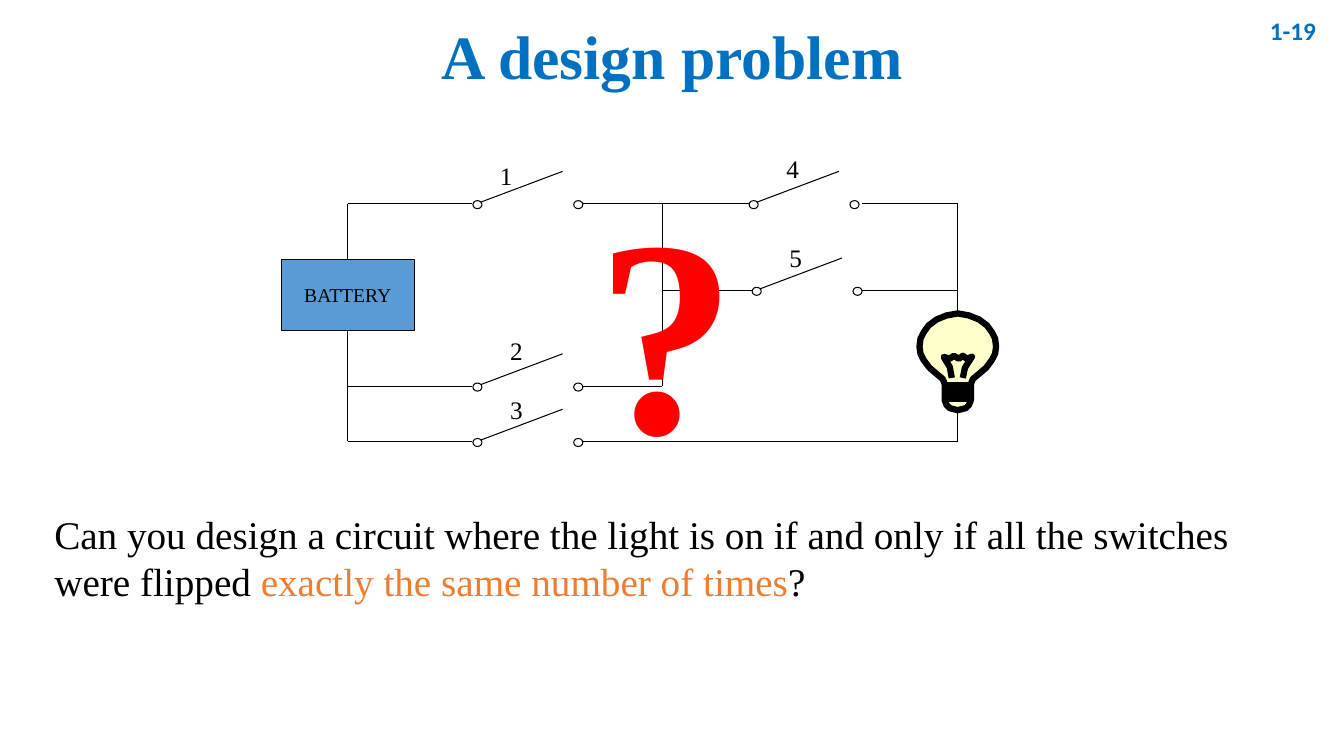
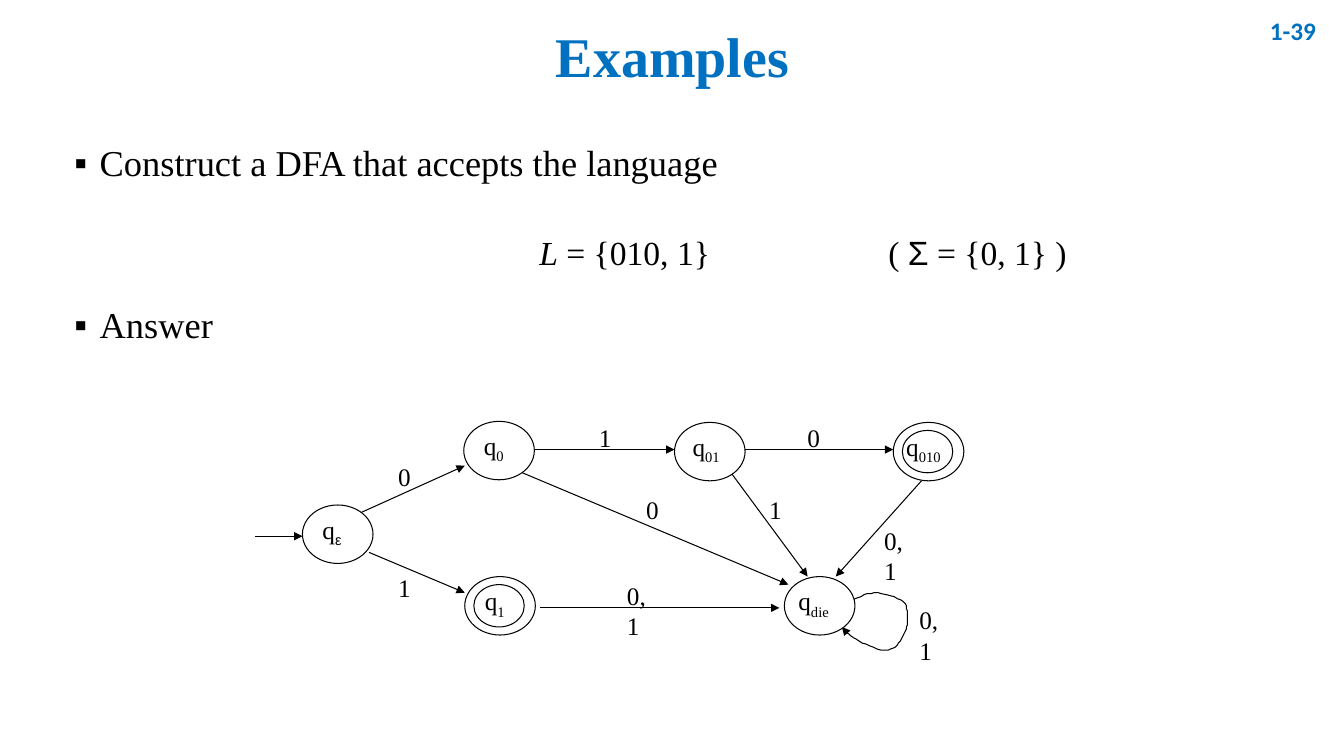
from dataclasses import dataclass
from typing import Any

from lxml.etree import SubElement
from pptx import Presentation
from pptx.dml.color import RGBColor
from pptx.enum.shapes import MSO_CONNECTOR as Connector, MSO_SHAPE as Shape
from pptx.enum.text import MSO_ANCHOR as Anchor, PP_ALIGN as Align
from pptx.oxml.ns import qn
from pptx.util import Pt

PX = 9144
SERIF = "Times New Roman"
BLUE = "0070C0"
BLACK = "000000"
WHITE = "FFFFFF"
ORANGE = "ED7D31"
RED = "FF0000"
BATTERY_BLUE = "5B9BD5"
BULB_YELLOW = "FFFFCC"
TERMINAL_SIZE = (9, 8)
STATE_SIZE = (70, 58)


def rgb(value):
    return RGBColor.from_string(value)


def apply(target, values):
    for name, value in values.items():
        setattr(target, name, value)


def add_run(paragraph, text, size=18, font=SERIF, color=BLACK, baseline=0, **style):
    run = paragraph.add_run()
    run.text = text
    apply(run.font, {"name": font, "size": Pt(size), **style})
    run.font.color.rgb = rgb(color)
    if baseline:
        run.font._element.set("baseline", str(baseline * 1000))


def set_line(shape, width=0.75, arrow=False):
    shape.line.color.rgb = rgb(BLACK)
    shape.line.width = Pt(width)
    if arrow:
        SubElement(shape.get_or_add_ln(), qn("a:tailEnd"), type="triangle")


def set_fill(shape, color):
    shape.shadow.inherit = False
    if color:
        shape.fill.solid()
        shape.fill.fore_color.rgb = rgb(color)
    else:
        shape.fill.background()


@dataclass
class Region:
    slide: Any
    left: int
    top: int
    width: int
    height: int

    def place(self, x, y):
        return (self.left + x) * PX, (self.top + y) * PX

    def text(self, x, y, width, height, runs, align=Align.LEFT, anchor=Anchor.TOP, wrap=False, spacing=1.0):
        box = self.slide.shapes.add_textbox(*self.place(x, y), width * PX, height * PX)
        apply(box.text_frame, {"word_wrap": wrap, "vertical_anchor": anchor})
        paragraph = box.text_frame.paragraphs[0]
        apply(paragraph, {"alignment": align, "line_spacing": spacing})
        for text, style in runs:
            add_run(paragraph, text, **style)
        return box

    def fill_text(self, runs, **layout):
        return self.text(0, 0, self.width, self.height, runs, wrap=True, **layout)

    def label(self, x, y, text):
        wide = len(text) > 1
        self.text(x, y, 55 if wide else 32, 40, [(text, {})], wrap=wide)

    def shape(self, kind, x, y, size, fill=None):
        width, height = size
        shape = self.slide.shapes.add_shape(kind, *self.place(x, y), width * PX, height * PX)
        set_fill(shape, fill)
        set_line(shape)
        return shape

    def line(self, x1, y1, x2, y2, arrow=False):
        connector = self.slide.shapes.add_connector(Connector.STRAIGHT, *self.place(x1, y1), *self.place(x2, y2))
        set_line(connector, arrow=arrow)
        SubElement(connector.element.spPr, qn("a:effectLst"))
        return connector

    def outline(self, contours, close=False, fill=None, width=0.75, arrow=False):
        contours = [[(self.left + x, self.top + y) for x, y in points] for points in contours]
        builder = self.slide.shapes.build_freeform(*contours[0][0], scale=PX)
        for index, points in enumerate(contours):
            if index:
                builder.move_to(*points[0])
            builder.add_line_segments(points[1:], close=close)
        shape = builder.convert_to_shape()
        set_fill(shape, fill)
        set_line(shape, width, arrow)


def add_header(slide, title, size, number):
    Region(slide, 1226, 0, 89, 60).fill_text(
        [(number, {"font": "Calibri", "color": BLUE, "bold": True})],
        align=Align.RIGHT, anchor=Anchor.MIDDLE)
    Region(slide, 92, 5, 1150, 108).fill_text(
        [(title, {"size": size, "color": BLUE, "bold": True})],
        align=Align.CENTER, anchor=Anchor.MIDDLE, spacing=0.9)


def add_switch(region, x, y, name, label_x, label_y):
    region.line(x + 4, y, x + 89, y - 32)
    for terminal_x in (x, x + 100):
        region.shape(Shape.OVAL, terminal_x, y - 3, TERMINAL_SIZE, WHITE)
    region.label(label_x, label_y, name)


def add_bulb(region, axis):
    half = [(0, 260), (4, 259), (8, 258), (11, 255), (13, 250), (13, 234),
            (15, 229), (21, 224), (28, 218), (34, 210), (37, 204), (38, 197),
            (37, 189), (34, 183), (29, 176), (21, 170), (11, 166), (0, 164)]
    filament = [(-6, 228), (-8, 217), (-13, 209), (-14, 207), (-8, 209), (-4, 206),
                (1, 209), (5, 206), (9, 209), (14, 207), (7, 218), (5, 228)]
    base = [(-13, 235), (13, 235), (13, 239), (-13, 239),
            (-13, 244), (13, 244), (13, 249), (-13, 249)]
    glass = half + [(-x, y) for x, y in half[-2:0:-1]]

    def centred(points):
        return [(axis + x, y) for x, y in points]

    region.outline([centred(glass)], close=True, fill=BULB_YELLOW, width=4.5)
    region.outline([centred(filament), centred(base)], width=4.5)


def add_circuit(slide, left, top, width, height):
    region = Region(slide, left, top, width, height)
    upper, middle, lower, bottom = 55, 141, 236, 291
    source, junction, lamp = 66, 378, 671

    battery = region.shape(Shape.RECTANGLE, 0, 110, (132, 71), BATTERY_BLUE)
    apply(battery.text_frame, {"word_wrap": False, "vertical_anchor": Anchor.MIDDLE})
    paragraph = battery.text_frame.paragraphs[0]
    paragraph.alignment = Align.CENTER
    add_run(paragraph, "BATTERY", size=14)
    for side, start, end in ((0, 110, upper), (2, 181, bottom)):
        region.line(source, start, source, end).begin_connect(battery, side)

    for x1, x2, y in ((source, 189, upper), (source, 189, lower), (source, 189, bottom),
                      (293, 472, upper), (293, junction, lower), (293, lamp, bottom),
                      (junction, 472, middle), (576, lamp, upper), (576, lamp, middle)):
        region.line(x1, y, x2, y)
    region.line(junction, upper, junction, lower)
    region.line(lamp, upper, lamp, bottom)

    for switch in ((190, upper, "1", 207, 7), (190, lower, "2", 217, 181),
                   (190, bottom, "3", 217, 239), (464, upper, "4", 491, 0),
                   (467, middle, "5", 494, 89)):
        add_switch(region, *switch)
    add_bulb(region, lamp)
    region.text(303, 0, 136, 347, [("?", {"size": 200, "color": RED, "bold": True})])


def add_bullets(slide, left, top, width, height, items):
    region = Region(slide, left, top, width, height)
    frame = region.fill_text([]).text_frame
    for index, (text, space) in enumerate(items):
        paragraph = frame.add_paragraph() if index else frame.paragraphs[0]
        apply(paragraph, {"alignment": Align.JUSTIFY, "line_spacing": 0.9, "space_before": Pt(space)})
        properties = paragraph._p.get_or_add_pPr()
        properties.set("marL", str(25 * PX))
        properties.set("indent", str(-25 * PX))
        SubElement(properties, qn("a:buFont"), typeface="Arial")
        SubElement(properties, qn("a:buChar"), char="▪")
        add_run(paragraph, text, size=26)


def add_state(region, name, x, y, label_offset, accepting):
    region.shape(Shape.OVAL, x, y, STATE_SIZE, WHITE)
    if accepting:
        region.shape(Shape.OVAL, x + 9, y + 8, (50, 42))
    subscript_font = "Arial" if name == "ε" else SERIF
    region.text(x + label_offset, y + 4, 32 + 8 * len(name), 40,
                [("q", {}), (name, {"font": subscript_font, "baseline": -25})])


def curve_points(start, segments, steps=8):
    points = [start]
    for x1, y1, x2, y2, x3, y3 in segments:
        x0, y0 = points[-1]
        for step in range(1, steps + 1):
            t = step / steps
            weights = ((1 - t) ** 3, 3 * t * (1 - t) ** 2, 3 * t * t * (1 - t), t ** 3)
            points.append(tuple(sum(weight * value for weight, value in zip(weights, values))
                                for values in ((x0, x1, x2, x3), (y0, y1, y2, y3))))
    return points


def add_automaton(slide, left, top, width, height):
    region = Region(slide, left, top, width, height)
    loop = curve_points((590, 184), [
        (597, 179, 605, 175, 614, 174), (623, 174, 637, 179, 643, 183),
        (648, 188, 647, 196, 647, 202), (647, 208, 645, 213, 642, 218),
        (639, 223, 635, 230, 628, 231), (620, 232, 607, 226, 599, 222),
        (591, 218, 587, 213, 582, 208)])
    region.outline([loop], arrow=True)

    for arrow in ((0, 118, 47, 118), (104, 95, 208, 48), (113, 134, 208, 174),
                  (274, 32, 416, 32), (482, 32, 633, 32), (283, 189, 520, 189),
                  (265, 55, 529, 166), (472, 55, 548, 158), (661, 63, 576, 158)):
        region.line(*arrow, arrow=True)

    for state in (("ε", 47, 87, 10, False), ("0", 207, 4, 10, False),
                  ("1", 208, 158, 10, True), ("01", 416, 5, 8, False),
                  ("010", 633, 5, 3, True), ("die", 525, 158, 4, False)):
        add_state(region, *state)

    for label in ((132, 39, "0"), (132, 149, "1"), (331, 0, "1"), (538, 0, "0"),
                  (378, 71, "0"), (500, 71, "1"), (359, 157, "0, 1"),
                  (614, 102, "0, 1"), (649, 181, "0, 1")):
        region.label(*label)


def build_design_slide(slide):
    add_header(slide, "A design problem", 44, "1-19")
    Region(slide, 44, 501, 1267, 104).fill_text([
        ("Can you design a circuit where the light is on if and only if all the switches were flipped ", {"size": 28}),
        ("exactly the same number of times", {"size": 28, "color": ORANGE}),
        ("?", {"size": 28})])
    add_circuit(slide, 279, 147, 709, 347)


def build_examples_slide(slide):
    add_header(slide, "Examples", 40, "1-39")
    add_bullets(slide, 64, 139, 1178, 268,
                [("Construct a DFA that accepts the language", 0), ("Answer", 88)])
    language = [("L", {"size": 24, "italic": True}), (" = {010, 1}", {"size": 24})]
    alphabet = [("( ", {"size": 24}), ("Σ", {"size": 24, "font": "Arial"}), (" = {0, 1} )", {"size": 24})]
    for left, runs in ((487, language), (837, alphabet)):
        Region(slide, left, 225, 265, 50).fill_text(runs, align=Align.CENTER)
    add_automaton(slide, 253, 414, 704, 231)


def main():
    presentation = Presentation()
    apply(presentation, {"slide_width": 1333 * PX, "slide_height": 750 * PX})
    for build in (build_design_slide, build_examples_slide):
        build(presentation.slides.add_slide(presentation.slide_layouts[6]))
    presentation.save("out.pptx")


if __name__ == "__main__":
    main()
